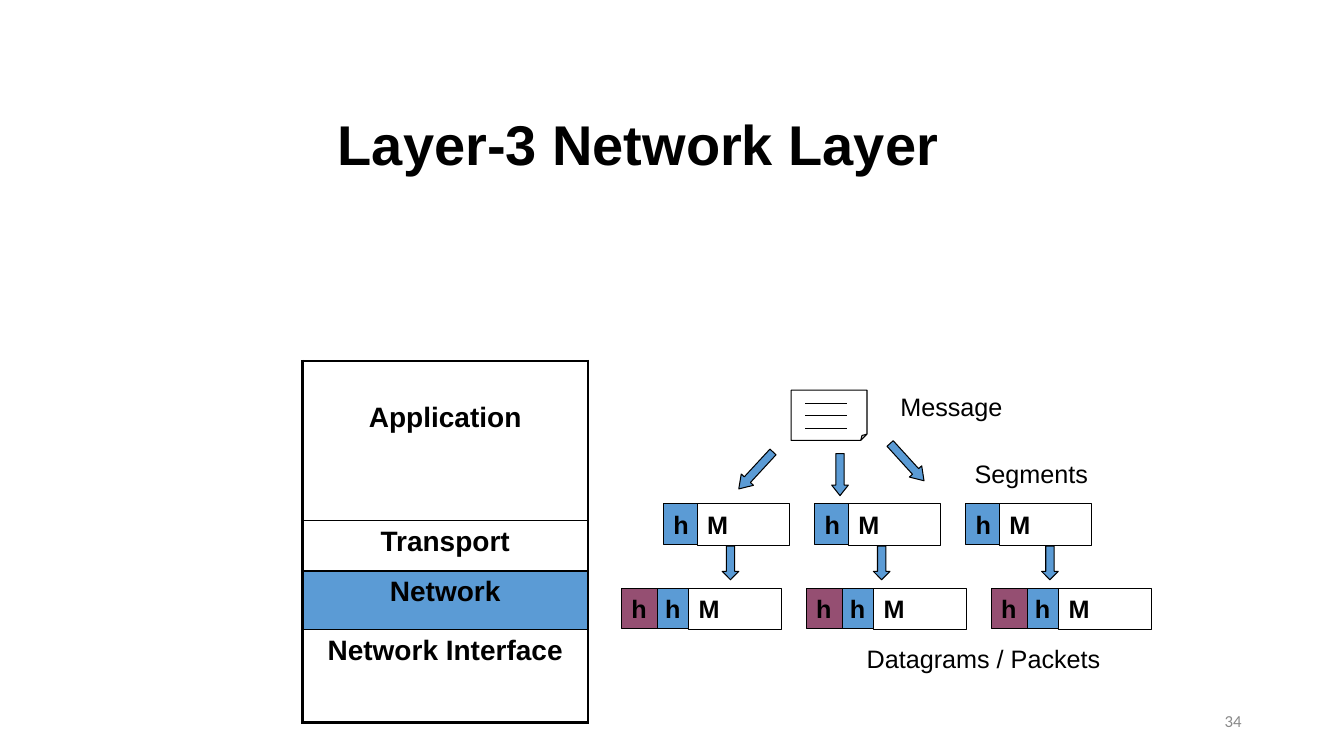
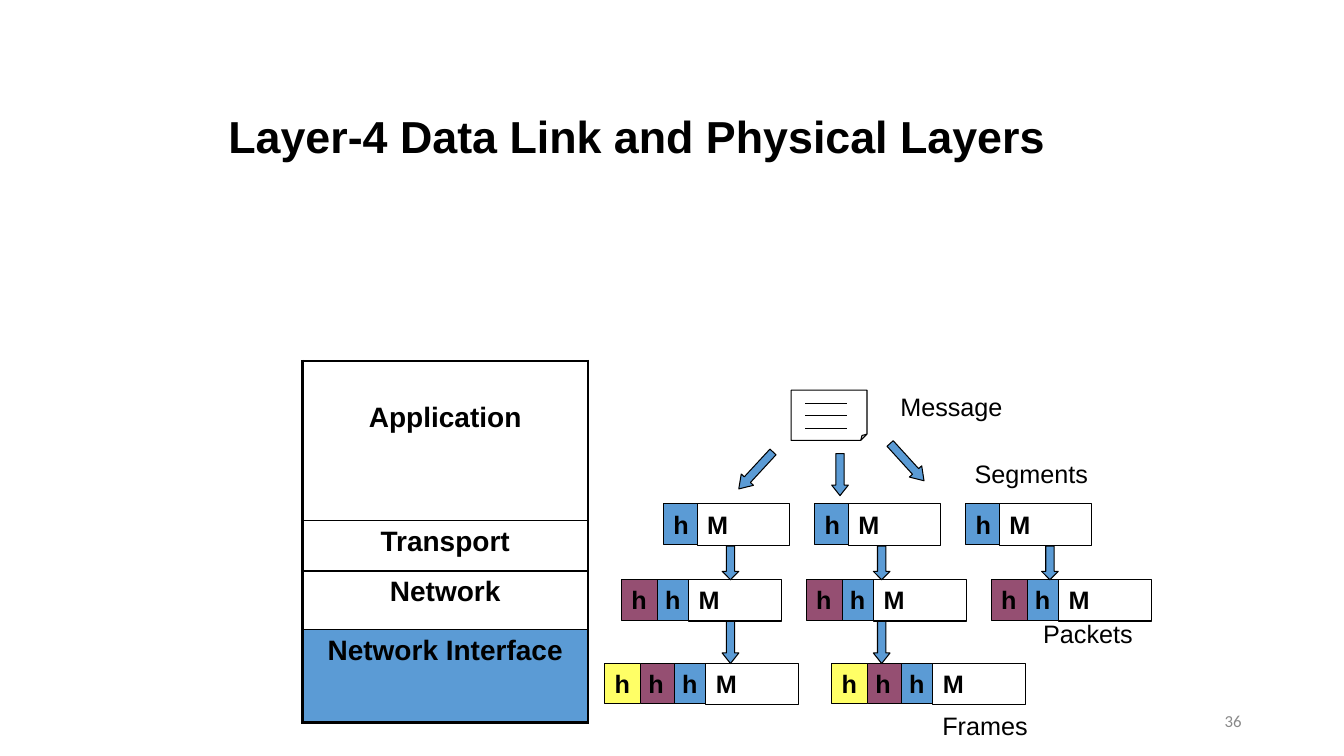
from dataclasses import dataclass
from typing import Any

from lxml.etree import SubElement
from pptx import Presentation
from pptx.dml.color import RGBColor
from pptx.enum.shapes import MSO_CONNECTOR as Connector, MSO_SHAPE as Preset
from pptx.enum.text import MSO_ANCHOR as Anchor, MSO_AUTO_SIZE as AutoSize, PP_ALIGN as Align
from pptx.oxml import parse_xml
from pptx.oxml.ns import nsdecls, qn
from pptx.util import Cm, Pt

BLACK = RGBColor(0x00, 0x00, 0x00)
WHITE = RGBColor(0xFF, 0xFF, 0xFF)
GRAY = RGBColor(0x89, 0x89, 0x89)
BLUE = RGBColor(0x5B, 0x9B, 0xD5)
PURPLE = RGBColor(0x95, 0x4F, 0x72)
YELLOW = RGBColor(0xFF, 0xFF, 0x66)

LABEL_FONT = {"name": "Arial", "size": Pt(18), "bold": False}
BLOCK_FONT = {"name": "Arial", "size": Pt(18), "bold": True}
LAYER_FONT = {"name": "Arial", "size": Pt(20), "bold": True}
NUMBER_FONT = {"name": "Calibri", "size": Pt(12), "bold": False}

THIN, MEDIUM, THICK = Pt(0.75), Pt(1), Pt(2.25)
HEADER_STEP, HEADER_WIDTH, HEADER_HEIGHT = 0.85, 0.91, 1.02
BODY_WIDTH, BODY_HEIGHT = 2.33, 1.04
ARROW_WIDTH = 0.42


@dataclass(frozen=True)
class Layer:
    """A row of the protocol stack."""

    name: str
    height: float
    margin: float = 0.13


@dataclass(frozen=True)
class Label:
    """A one-line caption."""

    text: str
    left: float
    top: float
    width: float


@dataclass(frozen=True)
class Arrow:
    """A block arrow, pointing down before it is turned."""

    left: float
    top: float
    height: float
    rotation: float = 0


@dataclass(frozen=True)
class UnitRow:
    """A row of equally spaced data units, with headers from the inside out."""

    left: float
    top: float
    step: float
    count: int
    headers: tuple[RGBColor, ...]


@dataclass(frozen=True)
class LayerPage:
    """What sets one slide apart from the other."""

    title: str
    title_box: tuple[float, float, float, float]
    title_size: int
    number: str
    active: str
    rows: tuple[UnitRow, ...]
    arrows: tuple[Arrow, ...]
    labels: tuple[Label, ...]


LAYERS = (
    Layer("Application", 4.02, 1.03),
    Layer("Transport", 1.27),
    Layer("Network", 1.48),
    Layer("Network Interface", 2.33),
)
SEGMENTS = UnitRow(16.72, 12.7, 3.81, 3, (BLUE,))
SHARED_ARROWS = (
    Arrow(18.84, 11.22, 1.27, 42.8),
    Arrow(20.96, 11.43, 1.06),
    Arrow(22.65, 11.01, 1.27, 317.7),
    *(Arrow(left, 13.76, 0.85) for left in (18.2, 22.01, 26.25)),
)
SHARED_LABELS = (Label("Message", 22.44, 9.74, 3.12), Label("Segments", 24.31, 11.43, 3.4))

PAGES = (
    LayerPage(
        title="Layer-3 Network Layer",
        title_box=(8.26, 2.12, 19.25, 3.18),
        title_size=40,
        number="34",
        active="Network",
        rows=(UnitRow(15.66, 14.82, 4.66, 3, (BLUE, PURPLE)),),
        arrows=(),
        labels=(Label("Datagrams / Packets", 21.59, 16.09, 6.45),),
    ),
    LayerPage(
        title="Layer-4 Data Link and Physical Layers",
        title_box=(5.5, 1.91, 23.5, 3.18),
        title_size=32,
        number="36",
        active="Network Interface",
        rows=(
            UnitRow(15.66, 14.61, 4.66, 3, (BLUE, PURPLE)),
            UnitRow(15.24, 16.72, 5.72, 2, (BLUE, PURPLE, YELLOW)),
        ),
        arrows=tuple(Arrow(left, 15.66, 1.06) for left in (18.2, 22.01)),
        labels=(Label("Packets", 26.04, 15.45, 2.8), Label("Frames", 23.5, 17.78, 2.7)),
    ),
)


def set_all(target: Any, values: dict[str, Any]) -> None:
    """Set each named attribute of the target."""
    for name, value in values.items():
        setattr(target, name, value)


def write(frame: Any, text: str, font: dict[str, Any], color: RGBColor = BLACK,
          align: Align = Align.LEFT) -> Any:
    """Write one formatted paragraph and return it."""
    para = frame.paragraphs[0]
    para.alignment = align
    span = para.add_run()
    span.text = text
    set_all(span.font, font)
    span.font.color.rgb = color
    return para


def add_title(page: Any, layer_page: LayerPage) -> None:
    """Place and format the title placeholder."""
    title = page.shapes.title
    lengths = (Cm(value) for value in layer_page.title_box)
    set_all(title, dict(zip(("left", "top", "width", "height"), lengths)))
    set_all(title.text_frame, {"vertical_anchor": Anchor.MIDDLE, "word_wrap": True,
                               "auto_size": AutoSize.NONE})
    font = {"name": "Arial", "size": Pt(layer_page.title_size), "bold": True}
    write(title.text_frame, layer_page.title, font).line_spacing = 0.9


def add_number(page: Any, number: str) -> None:
    """Write the slide number at the lower right."""
    box = page.shapes.add_textbox(Cm(23.92), Cm(17.65), Cm(7.62), Cm(1.02))
    set_all(box.text_frame, {"vertical_anchor": Anchor.MIDDLE, "word_wrap": True})
    write(box.text_frame, number, NUMBER_FONT, GRAY, Align.RIGHT)


def add_label(page: Any, label: Label) -> None:
    """Write a caption."""
    box = page.shapes.add_textbox(Cm(label.left), Cm(label.top), Cm(label.width), Cm(1.02))
    box.text_frame.word_wrap = False
    write(box.text_frame, label.text, LABEL_FONT)


def set_borders(cell: Any, widths: dict[str, int]) -> None:
    """Draw black cell borders, keyed by side."""
    properties = cell._tc.get_or_add_tcPr()
    for index, (side, width) in enumerate(widths.items()):
        border = parse_xml(
            f'<a:ln{side} {nsdecls("a")} w="{int(width)}"><a:solidFill>'
            f'<a:srgbClr val="{BLACK}"/></a:solidFill></a:ln{side}>'
        )
        properties.insert(index, border)


def add_stack(page: Any, active: str) -> None:
    """Draw the protocol stack with its active layer filled."""
    height = sum(layer.height for layer in LAYERS)
    table = page.shapes.add_table(len(LAYERS), 1, Cm(7.62), Cm(9.1), Cm(7.2), Cm(height)).table
    set_all(table, {"first_row": False, "horz_banding": False})
    for index, layer in enumerate(LAYERS):
        table.rows[index].height = Cm(layer.height)
        cell = table.cell(index, 0)
        cell.margin_top = Cm(layer.margin)
        cell.fill.solid()
        cell.fill.fore_color.rgb = BLUE if layer.name == active else WHITE
        write(cell.text_frame, layer.name, LAYER_FONT, align=Align.CENTER)
        set_borders(cell, {
            "L": THICK,
            "R": THICK,
            "T": THICK if layer == LAYERS[0] else MEDIUM,
            "B": THICK if layer == LAYERS[-1] else MEDIUM,
        })


def add_outlined(shapes: Any, preset: Preset, left: float, top: float, width: float,
                 height: float, fill: RGBColor) -> Any:
    """Draw a filled shape with a thin black outline."""
    shape = shapes.add_shape(preset, Cm(left), Cm(top), Cm(width), Cm(height))
    shape.shadow.inherit = False
    shape.fill.solid()
    shape.fill.fore_color.rgb = fill
    shape.line.color.rgb = BLACK
    shape.line.width = THIN
    return shape


def add_message(page: Any) -> None:
    """Draw the message sheet with its three text lines."""
    shapes = page.shapes.add_group_shape().shapes
    sheet = add_outlined(shapes, Preset.FOLDED_CORNER, 19.94, 9.83, 1.91, 1.27, WHITE)
    geometry = sheet._element.spPr.find(qn("a:prstGeom"))
    SubElement(geometry.get_or_add_avLst(), qn("a:gd"), name="adj", fmla="val 12500")
    for index in range(3):
        top = Cm(10.16 + 0.32 * index)
        line = shapes.add_connector(Connector.STRAIGHT, Cm(20.29), top, Cm(21.34), top)
        line.line.color.rgb = BLACK
        line.line.width = THIN
        SubElement(line._element.spPr, qn("a:effectLst"))


def add_block(shapes: Any, text: str, left: float, top: float, width: float, height: float,
              fill: RGBColor) -> None:
    """Draw one lettered part of a data unit."""
    block = add_outlined(shapes, Preset.RECTANGLE, left, top, width, height, fill)
    set_all(block.text_frame, {"vertical_anchor": Anchor.TOP, "word_wrap": text == "M"})
    write(block.text_frame, text, BLOCK_FONT)


def add_units(page: Any, row: UnitRow) -> None:
    """Draw each data unit of a row as a group."""
    for index in range(row.count):
        shapes = page.shapes.add_group_shape().shapes
        body_left = row.left + index * row.step + len(row.headers) * HEADER_STEP
        for depth, color in enumerate(row.headers, start=1):
            add_block(shapes, "h", body_left - depth * HEADER_STEP, row.top,
                      HEADER_WIDTH, HEADER_HEIGHT, color)
            if depth == 1:
                add_block(shapes, "M", body_left, row.top, BODY_WIDTH, BODY_HEIGHT, WHITE)


def add_arrow(page: Any, arrow: Arrow) -> None:
    """Draw a block arrow whose head takes a quarter of its height."""
    shape = add_outlined(page.shapes, Preset.DOWN_ARROW, arrow.left, arrow.top,
                         ARROW_WIDTH, arrow.height, BLUE)
    shape.adjustments[0] = 0.5
    shape.adjustments[1] = arrow.height / ARROW_WIDTH / 4
    shape.rotation = arrow.rotation


def add_page(deck: Any, layer_page: LayerPage) -> None:
    """Build one slide."""
    page = deck.slides.add_slide(deck.slide_layouts.get_by_name("Title Only"))
    add_number(page, layer_page.number)
    add_title(page, layer_page)
    add_stack(page, layer_page.active)
    add_message(page)
    for row in (SEGMENTS, *layer_page.rows):
        add_units(page, row)
    for arrow in SHARED_ARROWS + layer_page.arrows:
        add_arrow(page, arrow)
    for label in SHARED_LABELS + layer_page.labels:
        add_label(page, label)


def main() -> None:
    """Build and save the deck."""
    deck = Presentation()
    set_all(deck, {"slide_width": Cm(33.87), "slide_height": Cm(19.05)})
    for layer_page in PAGES:
        add_page(deck, layer_page)
    deck.save("out.pptx")


if __name__ == "__main__":
    main()
